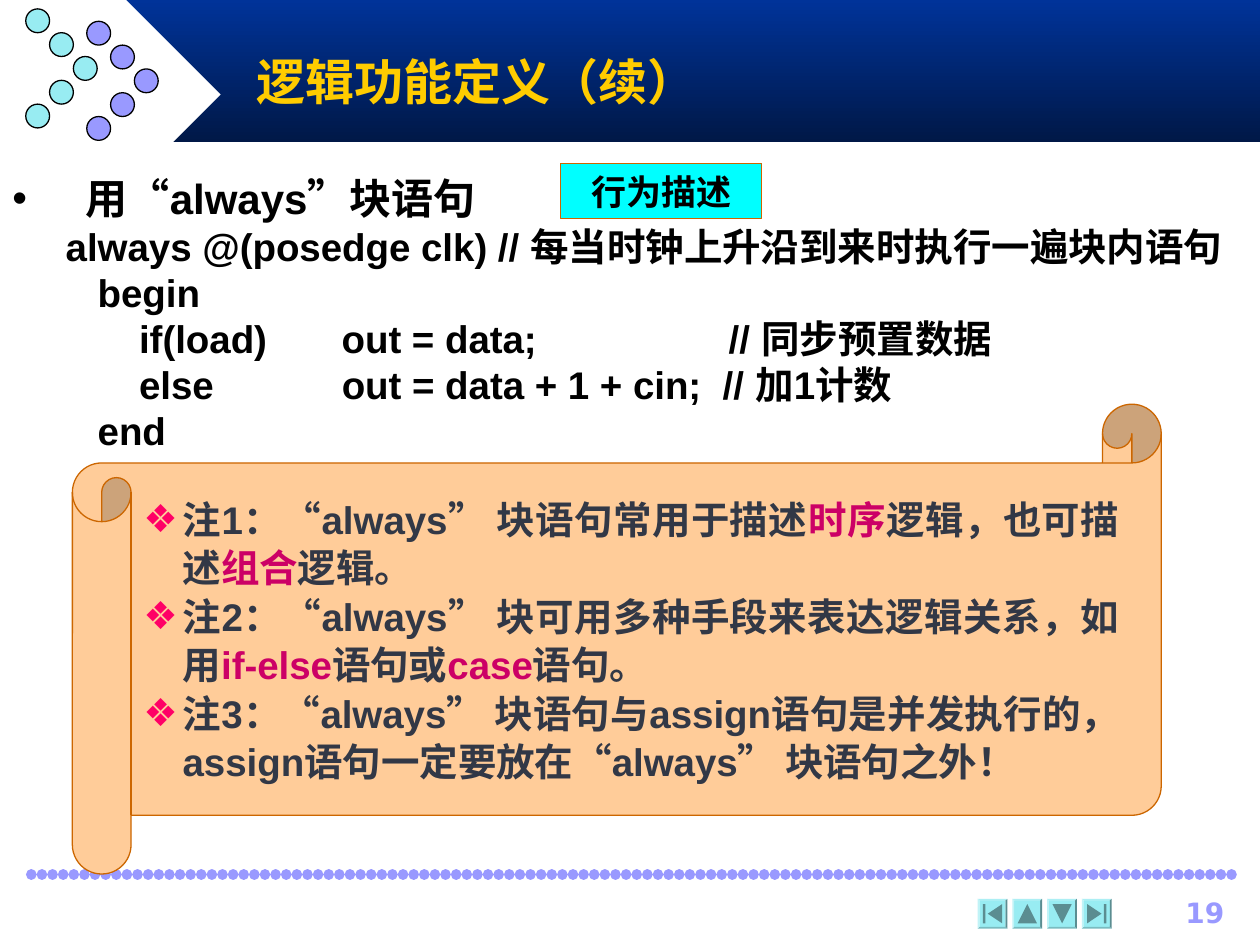
from lxml import etree
from pptx import Presentation
from pptx.dml.color import RGBColor
from pptx.enum.shapes import MSO_CONNECTOR, MSO_SHAPE
from pptx.enum.text import MSO_ANCHOR, PP_ALIGN
from pptx.oxml.ns import qn
from pptx.util import Cm, Pt

NAVY = RGBColor(0x00, 0x33, 0x99)
DARK_NAVY = RGBColor(0x00, 0x18, 0x47)
WHITE = RGBColor(0xFF, 0xFF, 0xFF)
BLACK = RGBColor(0x00, 0x00, 0x00)
LILAC = RGBColor(0x99, 0x99, 0xFF)
AQUA = RGBColor(0x98, 0xEC, 0xF2)
CYAN = RGBColor(0x00, 0xFF, 0xFF)
GOLD = RGBColor(0xFF, 0xCC, 0x00)
PEACH = RGBColor(0xFF, 0xCC, 0x99)
BROWN = RGBColor(0xCC, 0x66, 0x00)
SLATE = RGBColor(0x32, 0x38, 0x46)
MAGENTA = RGBColor(0xCC, 0x00, 0x66)
PINK = RGBColor(0xFF, 0x00, 0x66)

RECTANGLE = MSO_SHAPE.RECTANGLE
OVAL = MSO_SHAPE.OVAL
BEVEL = MSO_SHAPE.BEVEL
LEFT, CENTER, RIGHT, JUSTIFY = PP_ALIGN.LEFT, PP_ALIGN.CENTER, PP_ALIGN.RIGHT, PP_ALIGN.JUSTIFY
TOP, MIDDLE, BOTTOM = MSO_ANCHOR.TOP, MSO_ANCHOR.MIDDLE, MSO_ANCHOR.BOTTOM
CJK_FONT = "Noto Sans CJK SC"

TITLE = "逻辑功能定义（续）"
HEADING = "用“always”块语句"
CODE_LINES = [
    "     always @(posedge clk) // 每当时钟上升沿到来时执行一遍块内语句",
    "        begin",
    "\t     if(load)       out = data;                  // 同步预置数据",
    "\t     else            out = data + 1 + cin;  // 加1计数",
    "        end",
]
TAG = "行为描述"
NOTES = [
    [("注1：“always” 块语句常用于描述", SLATE), ("时序", MAGENTA),
     ("逻辑，也可描述", SLATE), ("组合", MAGENTA), ("逻辑。", SLATE)],
    [("注2：“always” 块可用多种手段来表达逻辑关系，如用", SLATE), ("if-else", MAGENTA),
     ("语句或", SLATE), ("case", MAGENTA), ("语句。", SLATE)],
    [("注3：“always” 块语句与assign语句是并发执行的， "
      "assign语句一定要放在“always” 块语句之外！", SLATE)],
]
PAGE_NUMBER = "19"

CHEVRONS = [(1.75, 0.43, LILAC), (0.52, 0.18, AQUA)]
CHEVRON_COLUMNS = [0, 1, 2, 1, 0]
DOT_SIZE = 0.48
BUTTONS = [
    (MSO_SHAPE.ACTION_BUTTON_BEGINNING, 0),
    (MSO_SHAPE.ACTION_BUTTON_BACK_OR_PREVIOUS, 90),
    (MSO_SHAPE.ACTION_BUTTON_FORWARD_OR_NEXT, 90),
    (MSO_SHAPE.ACTION_BUTTON_END, 0),
]
BUTTON_LEFT, BUTTON_TOP, BUTTON_SIZE, BUTTON_STEP = 19.71, 18.12, 0.6, 0.7
BUTTON_RIM = 0.04


def add_shape(slide, kind, left, top, width, height, fill, line=None):
    shape = slide.shapes.add_shape(kind, Cm(left), Cm(top), Cm(width), Cm(height))
    shape.shadow.inherit = False
    shape.fill.solid()
    shape.fill.fore_color.rgb = fill
    if line is None:
        shape.line.fill.background()
    else:
        shape.line.color.rgb = line
        shape.line.width = Pt(0.75)
    return shape


def add_text_box(slide, left, top, width, height, anchor=TOP):
    box = slide.shapes.add_textbox(Cm(left), Cm(top), Cm(width), Cm(height))
    return prepare_frame(box, anchor)


def prepare_frame(shape, anchor):
    frame = shape.text_frame
    frame.word_wrap = True
    frame.vertical_anchor = anchor
    return frame


def write_text(paragraph, text, *, size, color=BLACK, font="Arial", align=LEFT,
               indent=0, bullet=None, bullet_color=BLACK, spacing=None):
    properties = paragraph._p.get_or_add_pPr()
    properties.set("hangingPunct", "0")
    if indent:
        properties.set("marL", str(Cm(indent)))
        properties.set("indent", str(-Cm(indent)))
    if bullet:
        color_element = etree.SubElement(properties, qn("a:buClr"))
        etree.SubElement(color_element, qn("a:srgbClr"), val=str(bullet_color))
        etree.SubElement(properties, qn("a:buFont"), typeface="Arial")
        etree.SubElement(properties, qn("a:buChar"), char=bullet)
    paragraph.alignment = align
    if spacing:
        paragraph.line_spacing = spacing
    runs = [(text, color)] if isinstance(text, str) else text
    for content, run_color in runs:
        run = paragraph.add_run()
        run.text = content
        run.font.size = Pt(size)
        run.font.bold = True
        run.font.color.rgb = run_color
        run.font.name = font
        east_asian = etree.Element(qn("a:ea"), typeface=CJK_FONT)
        run._r.rPr.find(qn("a:latin")).addnext(east_asian)


def add_header(slide):
    banner = add_shape(slide, RECTANGLE, 2.54, 0, 22.86, 2.87, NAVY)
    banner.fill.gradient()
    banner.fill.gradient_angle = 270
    for stop, color, position in zip(banner.fill.gradient_stops, (NAVY, DARK_NAVY), (0, 1)):
        stop.color.rgb = color
        stop.position = position
    add_shape(slide, MSO_SHAPE.DIAMOND, 0.64, 0, 3.81, 3.81, WHITE)
    for left, top, color in CHEVRONS:
        for row, column in enumerate(CHEVRON_COLUMNS):
            add_shape(slide, OVAL, left + column * DOT_SIZE, top + row * DOT_SIZE,
                      DOT_SIZE, DOT_SIZE, color, BLACK)
    frame = add_text_box(slide, 4.92, 0.69, 21.59, 1.88, MIDDLE)
    write_text(frame.paragraphs[0], TITLE, size=28, color=GOLD)


def add_footer(slide):
    rule = slide.shapes.add_connector(MSO_CONNECTOR.STRAIGHT, Cm(0.63), Cm(17.63),
                                      Cm(24.96), Cm(17.63))
    rule.line.color.rgb = LILAC
    rule.line.width = Pt(6)
    line = rule.line._get_or_add_ln()
    line.set("cap", "rnd")
    dashes = etree.SubElement(line, qn("a:custDash"))
    etree.SubElement(dashes, qn("a:ds"), d="1000", sp="100000")
    etree.SubElement(rule._element.spPr, qn("a:effectLst"))
    icon_size = BUTTON_SIZE - 2 * BUTTON_RIM
    for index, (kind, rotation) in enumerate(BUTTONS):
        left = BUTTON_LEFT + index * BUTTON_STEP
        rim = add_shape(slide, BEVEL, left, BUTTON_TOP, BUTTON_SIZE, BUTTON_SIZE, AQUA)
        rim.adjustments[0] = BUTTON_RIM / BUTTON_SIZE
        button = add_shape(slide, kind, left + BUTTON_RIM, BUTTON_TOP + BUTTON_RIM,
                           icon_size, icon_size, AQUA)
        button.rotation = rotation
    frame = add_text_box(slide, 22.52, 17.93, 2.41, 0.84)
    write_text(frame.paragraphs[0], PAGE_NUMBER, size=16, color=LILAC,
               font="DejaVu Sans", align=RIGHT)


def add_body(slide):
    frame = add_text_box(slide, 0, 3.3, 25.4, 6.38)
    write_text(frame.paragraphs[0], HEADING, size=24, align=JUSTIFY, indent=1.48,
               bullet="•", spacing=1.05)
    for code_line in CODE_LINES:
        write_text(frame.add_paragraph(), code_line, size=22, align=JUSTIFY, indent=1.48)
    tag = add_shape(slide, RECTANGLE, 11.3, 3.29, 4.06, 1.11, CYAN, BROWN)
    write_text(prepare_frame(tag, BOTTOM).paragraphs[0], TAG, size=20,
               font=CJK_FONT, align=CENTER)


def add_notes_scroll(slide):
    scroll = add_shape(slide, MSO_SHAPE.HORIZONTAL_SCROLL, 1.46, 8.15, 21.95, 9.47, PEACH, BROWN)
    scroll.adjustments[0] = 0.125
    frame = prepare_frame(scroll, MIDDLE)
    for index, note in enumerate(NOTES):
        paragraph = frame.add_paragraph() if index else frame.paragraphs[0]
        write_text(paragraph, note, size=22, align=JUSTIFY, indent=0.79,
                   bullet="❖", bullet_color=PINK, spacing=1.05)


def main():
    presentation = Presentation()
    presentation.slide_width = Cm(25.4)
    presentation.slide_height = Cm(19.05)
    slide = presentation.slides.add_slide(presentation.slide_layouts[6])
    add_header(slide)
    add_footer(slide)
    add_body(slide)
    add_notes_scroll(slide)
    presentation.save("out.pptx")


if __name__ == "__main__":
    main()
